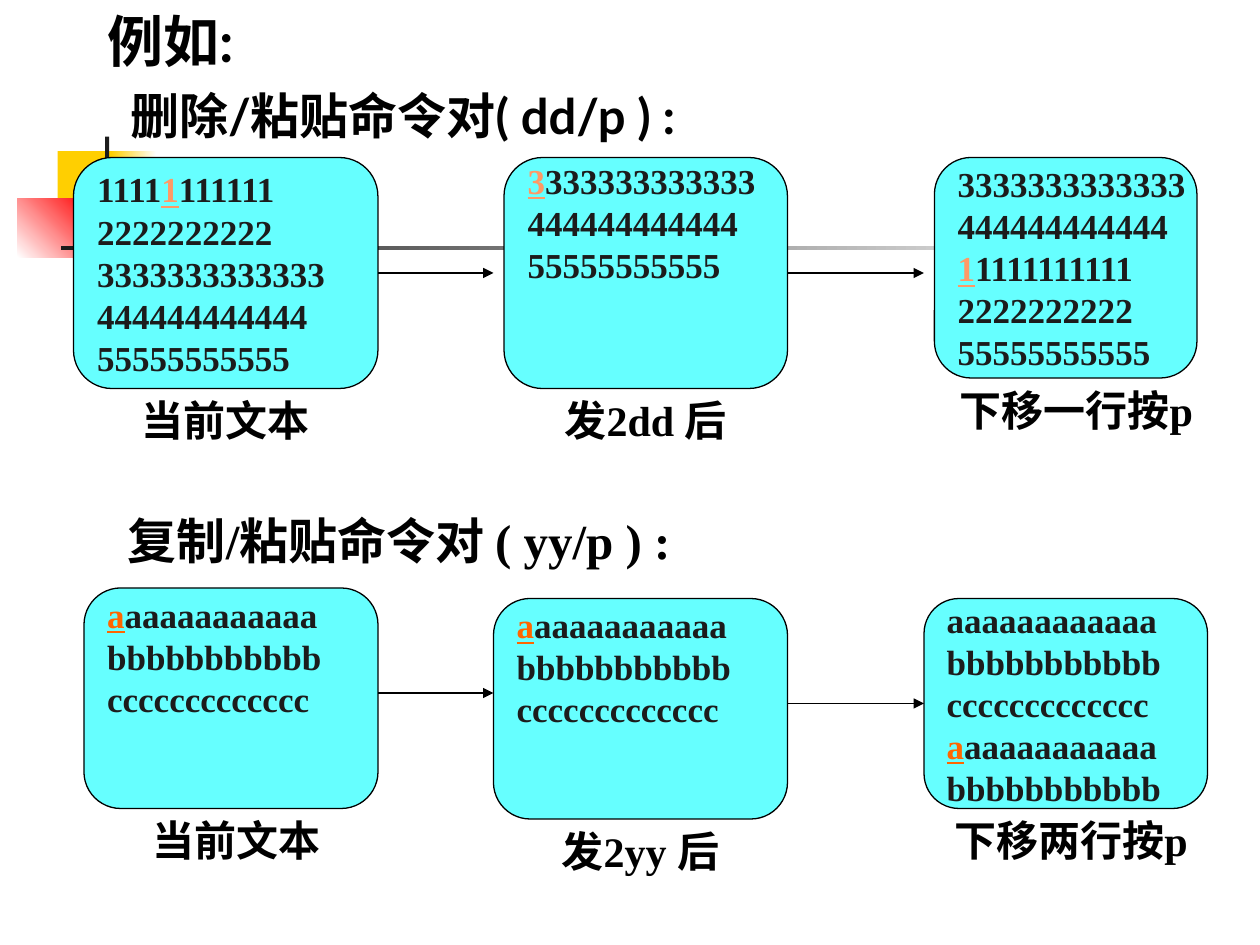
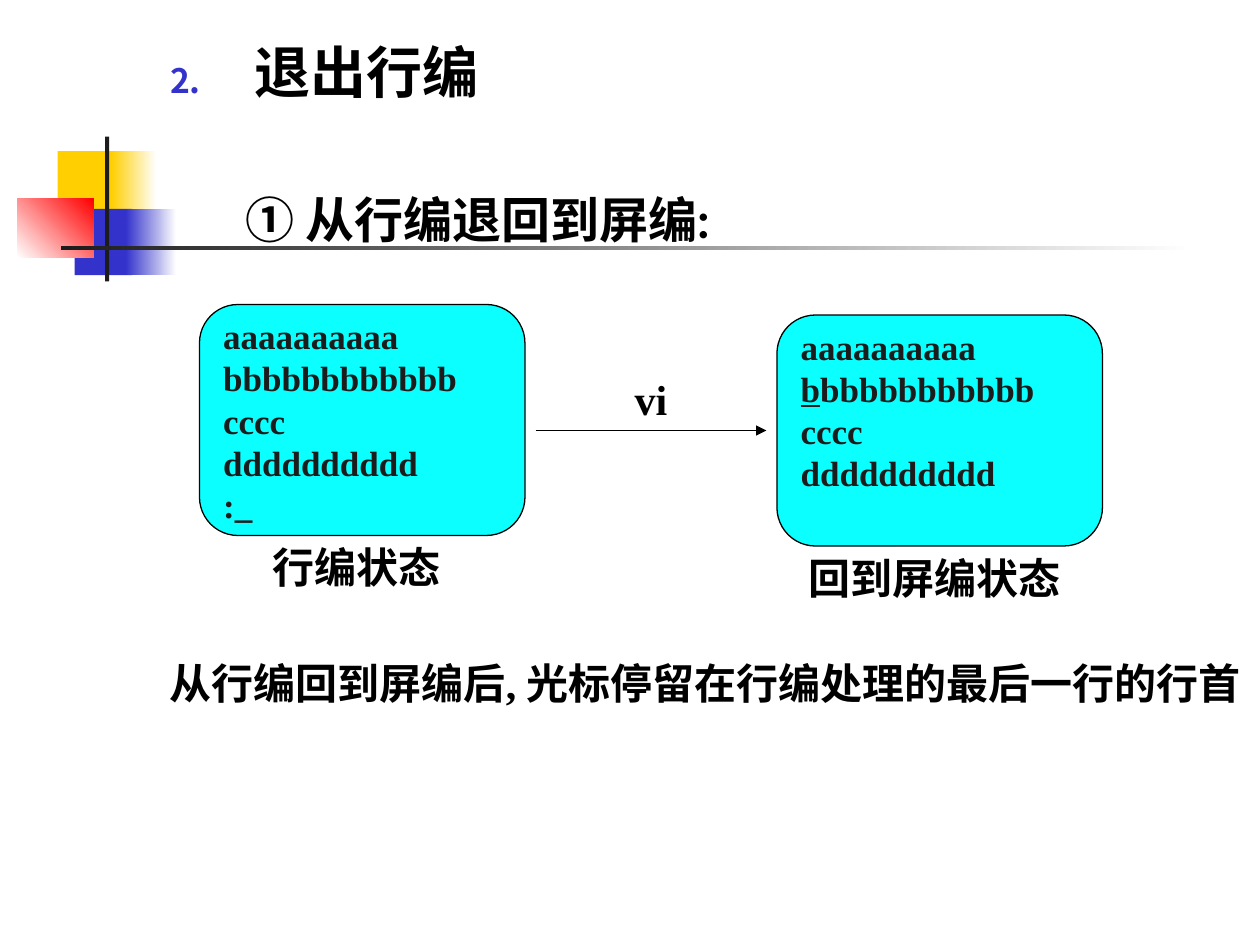
from dataclasses import dataclass
from typing import NamedTuple

from lxml import etree
from pptx import Presentation
from pptx import util as u
from pptx.dml.color import RGBColor
from pptx.enum import shapes, text
from pptx.oxml.ns import qn

GOLD = RGBColor(0xFF, 0xCF, 0x01)
BLUE = RGBColor(0x33, 0x33, 0xCC)
RED = RGBColor(0xFF, 0x00, 0x00)
INK = RGBColor(0x1C, 0x1C, 0x1C)
BLACK = RGBColor(0x00, 0x00, 0x00)
WHITE = RGBColor(0xFF, 0xFF, 0xFF)
AQUA = RGBColor(0x66, 0xFF, 0xFF)
CYAN = RGBColor(0x0B, 0xFF, 0xFF)
PEACH = RGBColor(0xFF, 0x99, 0x66)
FLAME = RGBColor(0xFF, 0x66, 0x00)

SANS, SERIF = "Lato", "Times New Roman"
CELL = u.Inches(10) // 120  # the slide is a grid of 120 columns by 90 rows
LINE = 4  # rows taken by one line of screen text


class Area(NamedTuple):
    col: float
    row: float
    wide: float
    high: float

    def emu(self) -> list[int]:
        return [cells(n) for n in self]


class Band(NamedTuple):
    area: Area
    start: RGBColor
    end: RGBColor | None = None
    angle: int = 0


@dataclass
class Screen:
    """An editor screen; the cursor stands on the text between bars."""
    area: Area
    lines: str
    cursor: RGBColor = INK
    fill: RGBColor = AQUA
    spare: float = 0  # empty rows at the foot


@dataclass
class Label:
    area: Area
    words: str
    size: int = 24
    align: text.PP_ALIGN = text.PP_ALIGN.CENTER
    indent: float = 0


class Arrow(NamedTuple):
    start: float
    end: float
    row: float


class Head(NamedTuple):
    words: str
    size: int
    indent: float = 0
    gap: int = 0
    number: int = 0


BANDS = [
    Band(Area(5.5, 14.4, 5.8, 6.2), GOLD),
    Band(Area(10.6, 14.4, 4.3, 6.2), GOLD, WHITE),
    Band(Area(7.1, 19.9, 5.5, 6.3), BLUE),
    Band(Area(12, 19.9, 4.8, 6.3), BLUE, WHITE),
    Band(Area(1.65, 18.95, 7.3, 5.55), WHITE, RED, 45),
    Band(Area(10, 13, 0.4, 13.8), INK),
    Band(Area(5.8, 23.4, 108, 0.4), INK, WHITE),
]


def cells(n: float) -> int:
    return round(n * CELL)


def paint(shape, fill: RGBColor, line: RGBColor | None = None) -> None:
    shape.shadow.inherit = False
    shape.fill.solid()
    shape.fill.fore_color.rgb = fill
    if line is None:
        shape.line.fill.background()
    else:
        shape.line.color.rgb = line
        shape.line.width = u.Pt(0.75)


def style(para, size: int, color: RGBColor, face: str = SERIF) -> None:
    font = para.font
    font.name, font.size, font.bold = face, u.Pt(size), True
    font.color.rgb = color


def shift(para, left: float, first: float = 0) -> None:
    props = para._p.get_or_add_pPr()
    props.set("marL", str(cells(left)))
    props.set("indent", str(cells(first)))


def count(para, start: int) -> None:
    """Number the paragraph with a small blue figure."""
    props = para._p.get_or_add_pPr()
    tint = etree.SubElement(props, qn("a:buClr"))
    etree.SubElement(tint, qn("a:srgbClr"), val=str(BLUE))
    etree.SubElement(props, qn("a:buSzPct"), val="60000")
    etree.SubElement(props, qn("a:buFont"), typeface=SANS)
    etree.SubElement(props, qn("a:buAutoNum"), type="arabicPeriod", startAt=str(start))


def add_bands(slide, layout) -> None:
    """Build the corner ornament and hand it to the layout."""
    for i, band in enumerate(BANDS):
        shape = slide.shapes.add_shape(shapes.MSO_SHAPE.RECTANGLE, *band.area.emu())
        paint(shape, band.start)
        if band.end is not None:
            shape.fill.gradient()
            shape.fill.gradient_angle = band.angle
            for stop, color in zip(shape.fill.gradient_stops, (band.start, band.end)):
                stop.color.rgb = color
        shape.element.nvSpPr.cNvPr.set("id", str(100 + i))
        shape.name = f"Band {i + 1}"
        layout.shapes.element.append(shape.element)


def add_title(slide, area: Area, heads: list[Head]) -> None:
    title = slide.shapes.title
    title.left, title.top, title.width, title.height = area.emu()
    frame = title.text_frame
    frame.word_wrap = True
    frame.auto_size = text.MSO_AUTO_SIZE.NONE
    frame.vertical_anchor = text.MSO_ANCHOR.TOP
    for i, head in enumerate(heads):
        para = frame.add_paragraph() if i else frame.paragraphs[0]
        para.text = head.words
        para.alignment = text.PP_ALIGN.LEFT
        para.space_before = u.Pt(head.gap)
        if head.number:
            shift(para, head.indent, -head.indent)
            count(para, head.number)
        else:
            shift(para, head.indent)
        style(para, head.size, BLACK, SANS)


def add_screen(slide, screen: Screen):
    kind = shapes.MSO_SHAPE.FLOWCHART_ALTERNATE_PROCESS
    shape = slide.shapes.add_shape(kind, *screen.area.emu())
    paint(shape, screen.fill, BLACK)
    frame = shape.text_frame
    frame.word_wrap = False
    frame.vertical_anchor = text.MSO_ANCHOR.MIDDLE
    frame.margin_bottom = u.Inches(0.05) + cells(screen.spare)
    for i, line in enumerate(screen.lines.split()):
        para = frame.add_paragraph() if i else frame.paragraphs[0]
        para.alignment = text.PP_ALIGN.LEFT
        style(para, 20, INK)
        for j, part in enumerate(line.split("|")):
            if not part:
                continue
            run = para.add_run()
            run.text = part
            run.font.color.rgb = INK
            if j % 2:
                run.font.underline = True
                run.font.color.rgb = screen.cursor
    return shape


def add_label(slide, label: Label) -> None:
    frame = slide.shapes.add_textbox(*label.area.emu()).text_frame
    frame.word_wrap = True
    para = frame.paragraphs[0]
    para.text = label.words
    para.alignment = label.align
    shift(para, label.indent)
    style(para, label.size, BLACK)


def add_arrow(slide, arrow: Arrow, boxes: list) -> None:
    """Draw an arrow, joined to each box whose side's middle it meets."""
    row = cells(arrow.row)
    start, end = cells(arrow.start), cells(arrow.end)
    line = slide.shapes.add_connector(shapes.MSO_CONNECTOR.STRAIGHT, start, row, end, row)
    for box in boxes:
        if box.top + box.height // 2 == row:
            if box.left + box.width == start:
                line.begin_connect(box, 3)
            if box.left == end:
                line.end_connect(box, 1)
    line.line.color.rgb = BLACK
    line.line.width = u.Pt(0.75)
    etree.SubElement(line.line._get_or_add_ln(), qn("a:tailEnd"), type="triangle")
    etree.SubElement(line.element.spPr, qn("a:effectLst"))


def fill_slide(slide, screens: list[Screen], labels: list[Label], arrows: list[Arrow]) -> None:
    boxes = [add_screen(slide, screen) for screen in screens]
    for label in labels:
        add_label(slide, label)
    for arrow in arrows:
        add_arrow(slide, arrow, boxes)


def pairs_slide(slide) -> None:
    add_title(slide, Area(9, 0, 118, 18),
              [Head("例如:", 32), Head("删除/粘贴命令对( dd/p ) :", 28, 2.2, 7)])
    screens = [
        Screen(Area(7, 15, 29, 22),
               "1111|1|111111 2222222222 3333333333333 444444444444 55555555555", PEACH),
        Screen(Area(48, 15, 27, 22),
               "|3|333333333333 444444444444 55555555555", PEACH, spare=2.4 * LINE),
        Screen(Area(89, 15, 25, 21),
               "3333333333333 444444444444 |1|1111111111 2222222222 55555555555", PEACH),
        Screen(Area(8, 56, 28, 21),
               "|a|aaaaaaaaaaa bbbbbbbbbbb ccccccccccccc", FLAME, spare=2 * LINE),
        Screen(Area(47, 57, 28, 21),
               "|a|aaaaaaaaaaa bbbbbbbbbbb ccccccccccccc", FLAME, spare=2 * LINE),
        Screen(Area(88, 57, 27, 20),
               "aaaaaaaaaaaa bbbbbbbbbbb ccccccccccccc |a|aaaaaaaaaaa bbbbbbbbbbb", FLAME),
    ]
    labels = [
        Label(Area(8, 37, 27, 6), "当前文本"),
        Label(Area(47, 37, 29, 6), "发2dd 后"),
        Label(Area(89, 36, 27, 6), "下移一行按p"),
        Label(Area(7, 48, 105, 6.8), "复制/粘贴命令对 ( yy/p ) :", 28, text.PP_ALIGN.LEFT, 4),
        Label(Area(9, 77, 27, 6), "当前文本"),
        Label(Area(46, 78, 30, 6), "发2yy 后"),
        Label(Area(87, 77, 30, 6), "下移两行按p"),
    ]
    arrows = [Arrow(36, 47, 26), Arrow(75, 88, 26), Arrow(36, 47, 66), Arrow(75, 88, 67)]
    fill_slide(slide, screens, labels, arrows)


def exit_slide(slide) -> None:
    add_title(slide, Area(15, 3, 105, 87),
              [Head("退出行编", 32, 8, number=2), Head("① 从行编退回到屏编:", 28, 7.2, 48)])
    screens = [
        Screen(Area(19, 29, 31, 22), "aaaaaaaaaa bbbbbbbbbbbb cccc dddddddddd :_", fill=CYAN),
        Screen(Area(74, 30, 31, 22), "aaaaaaaaaa |b|bbbbbbbbbbb cccc dddddddddd",
               fill=CYAN, spare=LINE),
    ]
    labels = [
        Label(Area(11, 51, 46, 6), "行编状态"),
        Label(Area(66, 52, 46, 6), "回到屏编状态"),
        Label(Area(15, 62, 105, 10.8), "从行编回到屏编后, 光标停留在行编处理的最后一行的行首",
              align=text.PP_ALIGN.LEFT),
        Label(Area(52, 35, 20, 6), "vi"),
    ]
    fill_slide(slide, screens, labels, [Arrow(51, 73, 41)])


def main() -> None:
    deck = Presentation()
    deck.slide_width, deck.slide_height = cells(120), cells(90)
    layout = deck.slide_layouts.get_by_name("Title Only")
    first, second = (deck.slides.add_slide(layout) for _ in range(2))
    add_bands(first, layout)
    pairs_slide(first)
    exit_slide(second)
    deck.save("out.pptx")


if __name__ == "__main__":
    main()
